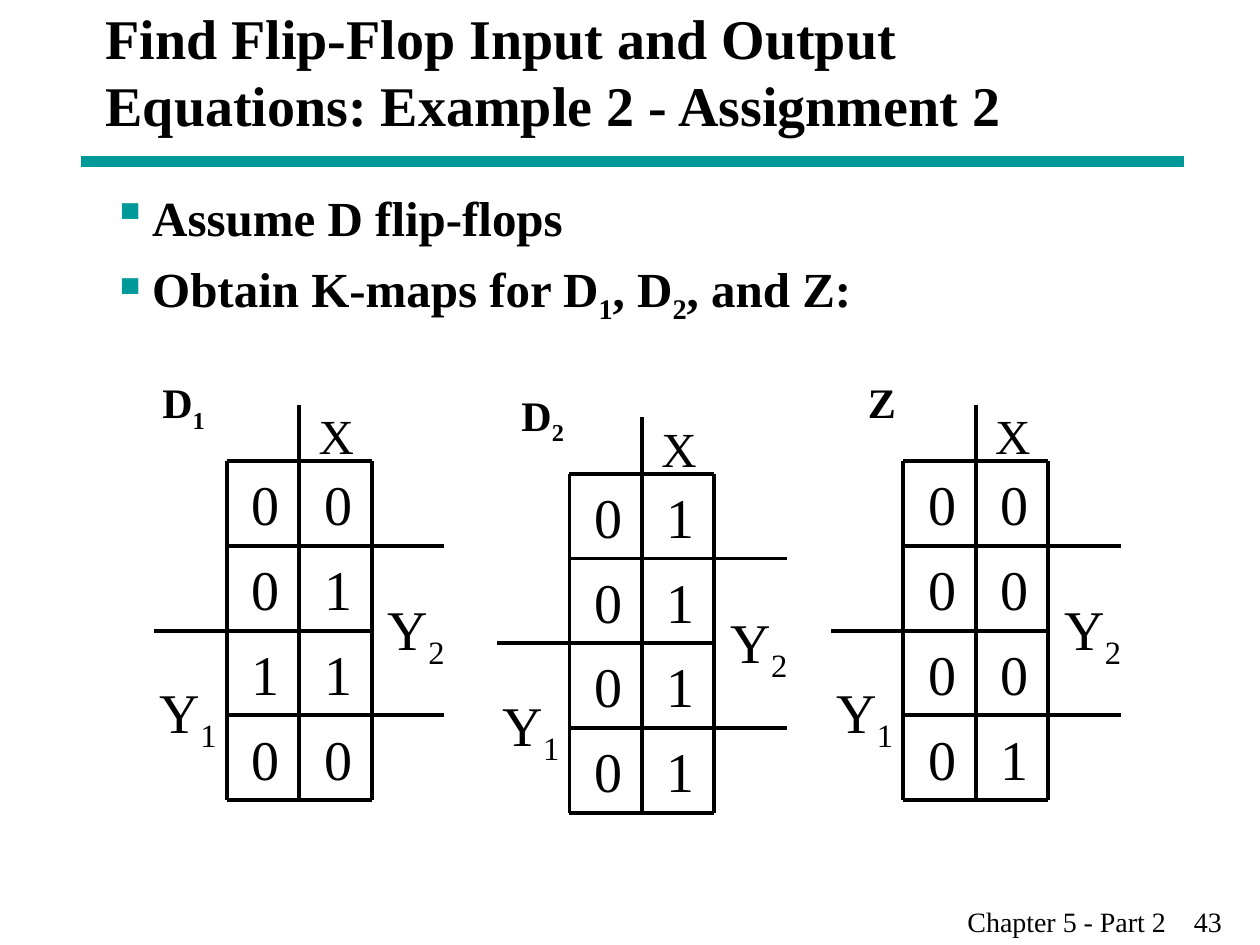
from lxml import etree
from pptx import Presentation
from pptx.dml.color import RGBColor
from pptx.enum.shapes import MSO_CONNECTOR
from pptx.enum.text import MSO_ANCHOR
from pptx.oxml.ns import qn
from pptx.util import Inches, Pt

STRAIGHT = MSO_CONNECTOR.STRAIGHT
TOP, MIDDLE = MSO_ANCHOR.TOP, MSO_ANCHOR.MIDDLE
BLACK = RGBColor(0x00, 0x00, 0x00)
TEAL = RGBColor(0x00, 0x99, 0x99)
FONT = "Times New Roman"

# One K-map cell, in inches
COL, ROW = 0.575, 0.6725

# Label, label offset, top left of the grid, cell values by row
K_MAPS = [
    ("D_1_", -0.61, (1.80, 3.66), ["00", "01", "11", "00"]),
    ("D_2_", -0.48, (4.52, 3.76), ["01", "01", "01", "01"]),
    ("Z", -0.38, (7.17, 3.66), ["00", "00", "00", "01"]),
]


def add_line(shapes, start, end, color=BLACK, width=2.25):
    line = shapes.add_connector(STRAIGHT, *map(Inches, (*start, *end)))
    line.line.color.rgb = color
    line.line.width = Pt(width)
    etree.SubElement(line._element.spPr, qn("a:effectLst"))


def add_bullet(paragraph):
    props = paragraph._p.get_or_add_pPr()
    props.set("marL", str(Inches(0.32)))
    props.set("indent", str(Inches(-0.32)))
    color = etree.SubElement(props, qn("a:buClr"))
    etree.SubElement(color, qn("a:srgbClr")).set("val", str(TEAL))
    etree.SubElement(props, qn("a:buChar")).set("char", "▪")


def add_text(shapes, box, lines, size, bold=False, wrap=True, anchor=TOP,
             bullets=False, gap=0):
    """Write lines into a box; text between underscores is subscript."""
    frame = shapes.add_textbox(*map(Inches, box)).text_frame
    frame.word_wrap = wrap
    frame.vertical_anchor = anchor
    font_format = {"name": FONT, "size": Pt(size), "bold": bold}
    for index, line in enumerate(lines):
        paragraph = frame.add_paragraph() if index else frame.paragraphs[0]
        if index:
            paragraph.space_before = Pt(gap)
        if bullets:
            add_bullet(paragraph)
        for part, piece in enumerate(line.split("_")):
            if not piece:
                continue
            run = paragraph.add_run()
            run.text = piece
            for attribute, value in font_format.items():
                setattr(run.font, attribute, value)
            run.font.color.rgb = BLACK
            if part % 2:
                run._r.get_or_add_rPr().set("baseline", "-25000")


def add_header(shapes, left, top, width, height):
    add_text(shapes, (left, top, width, height),
             ["Find Flip-Flop Input and Output Equations: "
              "Example 2 - Assignment 2"], 32, bold=True, anchor=MIDDLE)
    rule_y = top + height + 0.16
    add_line(shapes, (left - 0.1, rule_y), (left + width + 0.16, rule_y),
             TEAL, 6)


def add_k_map(shapes, label, label_dx, origin, values):
    left, top = origin
    group = shapes.add_group_shape().shapes

    def at(column, row):
        return left + column * COL, top + row * ROW

    # Grid lines as (column, row) ends; the long ones bound X, Y1 and Y2
    for start, end in [
        ((-1, 2), (2, 2)), ((0, 0), (0, 4)), ((0, 0), (2, 0)),
        ((0, 1), (3, 1)), ((0, 3), (3, 3)), ((0, 4), (2, 4)),
        ((1, -2 / 3), (1, 4)), ((2, 0), (2, 4)),
    ]:
        add_line(group, at(*start), at(*end))

    # Variable names
    for name, dx, dy, width, height, size in [
        ("Y_2_", 1.18, 1.01, 0.65, 0.71, 32),
        ("Y_1_", -0.63, 1.67, 0.65, 0.71, 32),
        ("X", 0.63, -0.49, 0.48, 0.57, 28),
    ]:
        add_text(group, (left + dx, top + dy, width, height), [name], size,
                 wrap=False)

    # Cell values
    for row, digits in enumerate(values):
        for column, digit in enumerate(digits):
            x, y = at(column, row)
            add_text(group, (x + 0.1, y + 0.02, 0.4, 0.64), [digit], 32)

    # Function name
    add_text(shapes, (left + label_dx, top - 0.72, 0.61, 0.56), [label], 24,
             bold=True)


def main():
    deck = Presentation()
    deck.slide_width, deck.slide_height = Inches(10), Inches(7.5)
    shapes = deck.slides.add_slide(deck.slide_layouts[6]).shapes

    add_header(shapes, 0.74, 0, 8.5, 1.12)
    add_text(shapes, (0.79, 1.44, 8.5, 1.3),
             ["Assume D flip-flops",
              "Obtain K-maps for D_1_, D_2_, and Z:"],
             28, bold=True, bullets=True, gap=7)
    for k_map in K_MAPS:
        add_k_map(shapes, *k_map)

    # Footer; no-break spaces part the chapter from the slide number
    add_text(shapes, (7.58, 7.13, 2.42, 0.37),
             ["Chapter 5 - Part 2    43"], 16)
    deck.save("out.pptx")


if __name__ == "__main__":
    main()
